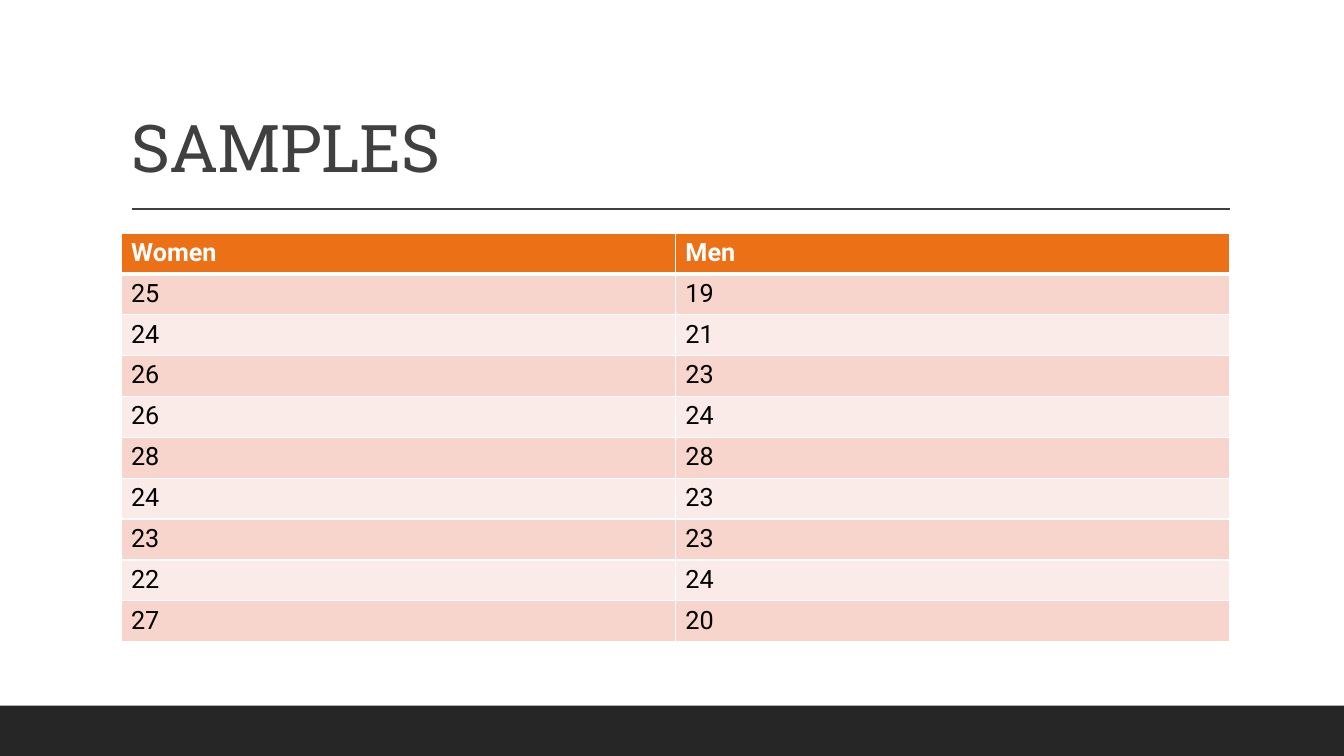
from lxml.etree import SubElement
from pptx import Presentation
from pptx.dml.color import RGBColor
from pptx.enum.shapes import MSO_CONNECTOR, MSO_SHAPE
from pptx.enum.text import MSO_ANCHOR, MSO_AUTO_SIZE, PP_ALIGN
from pptx.oxml.ns import qn
from pptx.util import Cm, Pt

TITLE = "SAMPLES"
HEADS = ("Women", "Men")
WOMEN = (25, 24, 26, 26, 28, 24, 23, 22, 27)
MEN = (19, 21, 23, 24, 28, 23, 23, 24, 20)

WHITE = RGBColor(0xFF, 0xFF, 0xFF)
BLACK = RGBColor(0x00, 0x00, 0x00)
GREY = RGBColor(0x40, 0x40, 0x40)
DARK = RGBColor(0x26, 0x26, 0x26)
ORANGE = RGBColor(0xEC, 0x70, 0x16)
BANDS = (RGBColor(0xFB, 0xEB, 0xE8), RGBColor(0xF8, 0xD5, 0xCC))

WIDE, HIGH = Cm(33.87), Cm(19.05)
LEFT, SPAN = Cm(3.05), Cm(27.94)


def style(font, name, size, color, bold=False):
    font.name = name
    font.size = Pt(size)
    font.color.rgb = color
    font.bold = bold


def border(cell, side, width):
    line = SubElement(cell._tc.get_or_add_tcPr(), qn(f"a:ln{side}"), w=str(Pt(width)))
    fill = SubElement(line, qn("a:solidFill"))
    SubElement(fill, qn("a:srgbClr"), val=str(WHITE))


def add_frame(slide):
    bar = slide.shapes.add_shape(MSO_SHAPE.RECTANGLE, 0, Cm(17.78), WIDE, Cm(1.27))
    bar.shadow.inherit = False
    bar.fill.solid()
    bar.fill.fore_color.rgb = DARK
    bar.line.fill.background()
    rule = slide.shapes.add_connector(
        MSO_CONNECTOR.STRAIGHT, Cm(3.33), Cm(5.27), Cm(31), Cm(5.27))
    rule.line.color.rgb = GREY
    rule.line.width = Pt(1)
    SubElement(rule._element.spPr, qn("a:effectLst"))


def add_title(slide):
    title = slide.shapes.title
    title.left, title.top, title.width, title.height = LEFT, Cm(0.79), SPAN, Cm(4.04)
    frame = title.text_frame
    frame.text = TITLE
    frame.auto_size = MSO_AUTO_SIZE.NONE
    frame.vertical_anchor = MSO_ANCHOR.BOTTOM
    para = frame.paragraphs[0]
    para.alignment = PP_ALIGN.LEFT
    para.line_spacing = 0.9
    font = para.runs[0].font
    style(font, "Roboto Slab", 47, GREY)
    font._element.set("spc", "-50")


def add_samples(slide):
    rows = [HEADS, *zip(WOMEN, MEN)]
    table = slide.shapes.add_table(
        len(rows), len(HEADS), LEFT, Cm(5.87), SPAN, Cm(10.3)).table
    for r, row in enumerate(rows):
        head = r == 0
        for c, value in enumerate(row):
            cell = table.cell(r, c)
            for side in "LRTB":
                heavy = (head and side == "B") or (r == 1 and side == "T")
                border(cell, side, 3 if heavy else 1)
            cell.fill.solid()
            cell.fill.fore_color.rgb = ORANGE if head else BANDS[r % 2]
            cell.text_frame.text = str(value)
            font = cell.text_frame.paragraphs[0].runs[0].font
            style(font, "Roboto", 18, WHITE if head else BLACK, head)


def main():
    deck = Presentation()
    deck.slide_width, deck.slide_height = WIDE, HIGH
    slide = deck.slides.add_slide(deck.slide_layouts[5])
    add_frame(slide)
    add_title(slide)
    add_samples(slide)
    deck.save("out.pptx")


if __name__ == "__main__":
    main()
